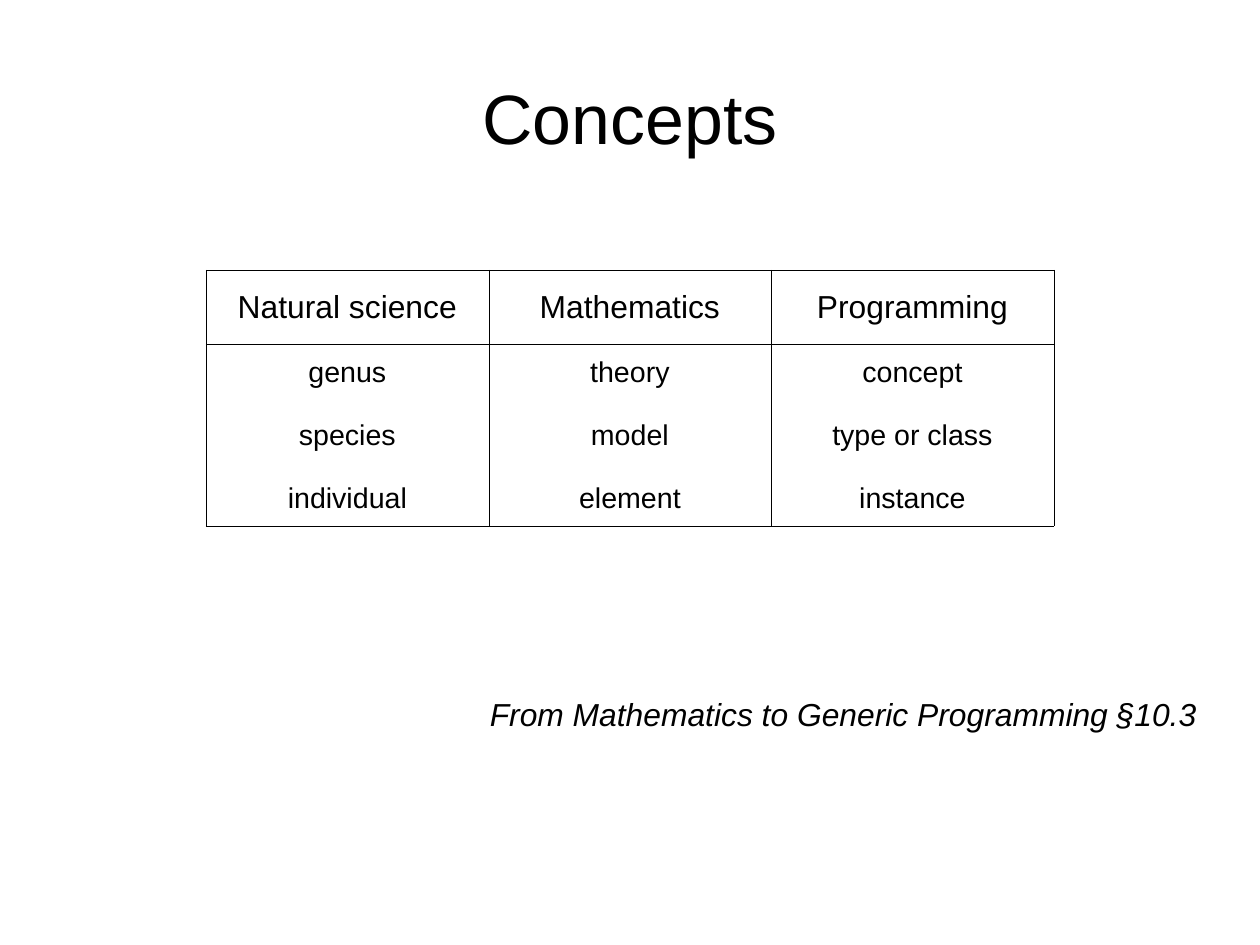
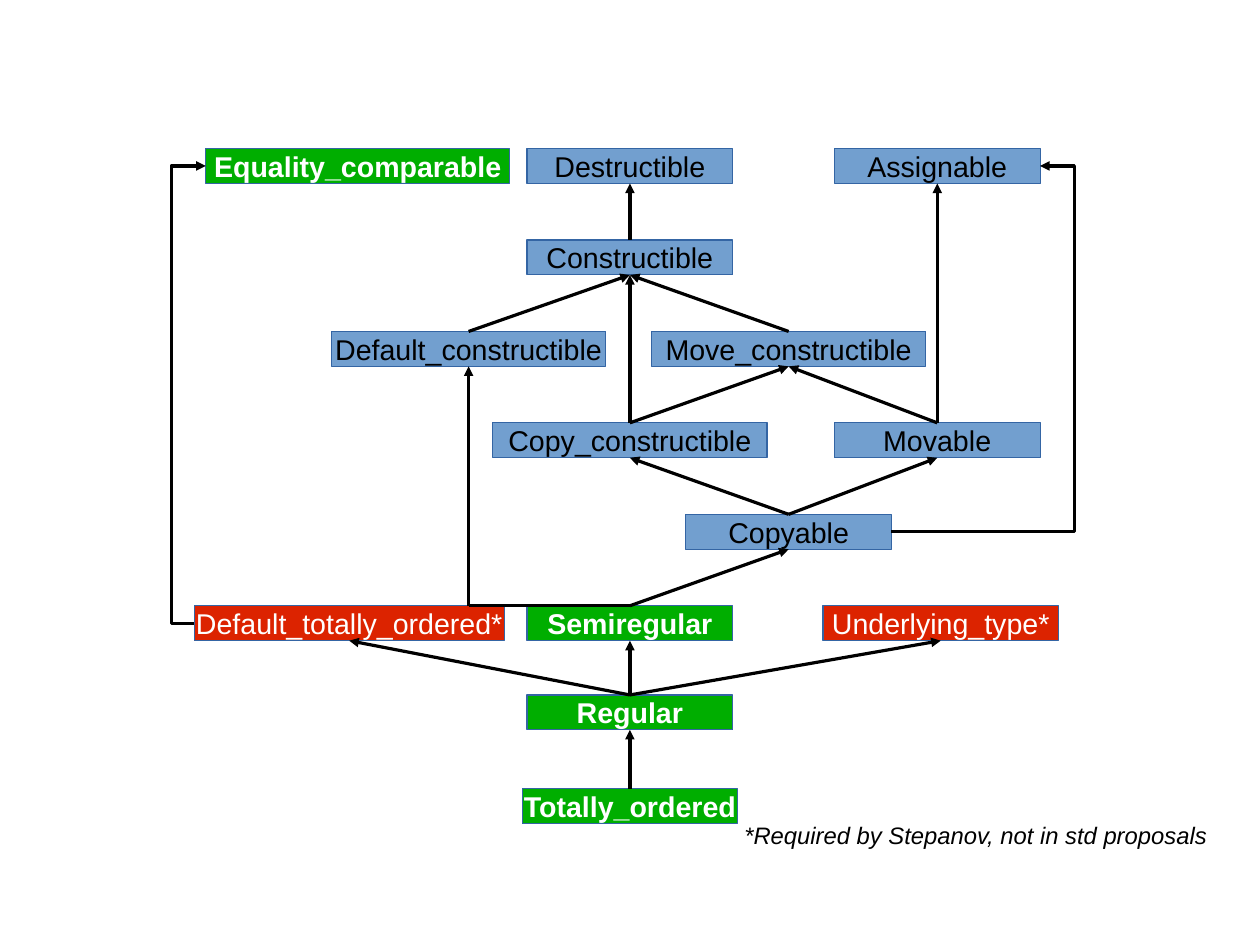
import lxml.etree
import pptx
import pptx.dml.color
import pptx.enum.shapes
import pptx.enum.text
import pptx.oxml.ns
import pptx.util

Pt = pptx.util.Pt
RGB = pptx.dml.color.RGBColor
ALIGN = pptx.enum.text.PP_ALIGN
MIDDLE = pptx.enum.text.MSO_ANCHOR.MIDDLE
KIND = pptx.enum.shapes.MSO_CONNECTOR
qn = pptx.oxml.ns.qn
node = lxml.etree.SubElement

BLACK = RGB(0x00, 0x00, 0x00)
WHITE = RGB(0xFF, 0xFF, 0xFF)
GREEN = RGB(0x00, 0xAE, 0x00)
RED = RGB(0xDC, 0x23, 0x00)
BLUE = RGB(0x72, 0x9F, 0xCF)
EDGE = RGB(0x34, 0x65, 0xA4)


def style(para, size, align, color=BLACK, bold=False, slant=False):
    para.alignment = align
    font = para.font
    font.name = "Arial"
    font.size = Pt(size)
    font.color.rgb = color
    font.bold = bold
    font.italic = slant


def label(slide, text, left, top, high, size, align, slant=False):
    box = slide.shapes.add_textbox(Pt(left), Pt(top), Pt(714.3), Pt(high))
    frame = box.text_frame
    frame.word_wrap = True
    frame.vertical_anchor = MIDDLE
    frame.margin_left = frame.margin_right = 0
    frame.margin_top = frame.margin_bottom = 0
    frame.text = text
    style(frame.paragraphs[0], size, align, slant=slant)


deck = pptx.Presentation()
deck.slide_width = Pt(793.7)
deck.slide_height = Pt(595.3)
blank = deck.slide_layouts[6]

slide = deck.slides.add_slide(blank)
label(slide, "Concepts", 39.7, 23.8, 99.4, 44, ALIGN.CENTER)
label(slide, "From Mathematics to Generic Programming §10.3",
      39.7, 417.6, 64, 20, ALIGN.RIGHT, True)

heads = ["Natural science", "Mathematics", "Programming"]
terms = [
    ["genus", "species", "individual"],
    ["theory", "model", "element"],
    ["concept", "type or class", "instance"],
]
grid = slide.shapes.add_table(2, 3, Pt(129.8), Pt(170), Pt(534), Pt(161.6)).table
grid.first_row = False
grid.horz_banding = False
grid.rows[0].height = Pt(47)
grid.rows[1].height = Pt(114.6)
for col in range(3):
    grid.columns[col].width = Pt(178)
    for row, lines, size in [(0, [heads[col]], 20), (1, terms[col], 18)]:
        cell = grid.cell(row, col)
        cell.vertical_anchor = MIDDLE
        cell.text = "\n".join(lines)
        for spot, para in enumerate(cell.text_frame.paragraphs):
            style(para, size, ALIGN.CENTER)
            if spot:
                para.space_before = Pt(19.6)
        props = cell._tc.get_or_add_tcPr()
        for side in ["a:lnL", "a:lnR", "a:lnT", "a:lnB"]:
            rule = node(props, qn(side), w="762")
            node(node(rule, qn("a:solidFill")), qn("a:srgbClr"), val=str(BLACK))
        cell.fill.solid()
        cell.fill.fore_color.rgb = WHITE

slide = deck.slides.add_slide(blank)
tops = [93.6 + 57.6 * row for row in range(8)]
tops[6] = 437.8
left, mid, right, far = 295.2, 396.8, 496.8, 590.4
boxes = [
    ("Equality_comparable", 225.4, 0, 191.5, GREEN),
    ("Destructible", mid, 0, 129.6, BLUE),
    ("Assignable", far, 0, 129.6, BLUE),
    ("Constructible", mid, 1, 129.6, BLUE),
    ("Default_constructible", left, 2, 172.8, BLUE),
    ("Move_constructible", right, 2, 172.8, BLUE),
    ("Copy_constructible", mid, 3, 172.8, BLUE),
    ("Movable", far, 3, 129.6, BLUE),
    ("Copyable", right, 4, 129.6, BLUE),
    ("Default_totally_ordered*", 220, 5, 195.1, RED),
    ("Semiregular", mid, 5, 129.6, GREEN),
    ("Underlying_type*", 592.6, 5, 148.3, RED),
    ("Regular", mid, 6, 129.6, GREEN),
    ("Totally_ordered", mid, 7, 135.4, GREEN),
]
shapes = {}
for name, center, row, wide, color in boxes:
    box = slide.shapes.add_shape(
        pptx.enum.shapes.MSO_SHAPE.FLOWCHART_PROCESS,
        Pt(center - wide / 2), Pt(tops[row]), Pt(wide), Pt(22))
    box.shadow.inherit = False
    box.fill.solid()
    box.fill.fore_color.rgb = color
    box.line.color.rgb = EDGE
    box.line.width = Pt(0)
    frame = box.text_frame
    frame.word_wrap = False
    frame.vertical_anchor = MIDDLE
    frame.text = name
    ink = BLACK if color == BLUE else WHITE
    style(frame.paragraphs[0], 18, ALIGN.CENTER, ink, color == GREEN)
    shapes[name] = box

turn = (left, tops[5])
links = [
    ("Copyable", 3, "Assignable", 3, 123100),
    ("Default_totally_ordered*", 1, "Equality_comparable", 1, -202400),
    ("Semiregular", 0, None, None, None),
    (None, None, "Default_constructible", 2, None),
]
pairs = [
    ("Default_constructible", "Constructible"),
    ("Move_constructible", "Constructible"),
    ("Movable", "Assignable"),
    ("Constructible", "Destructible"),
    ("Totally_ordered", "Regular"),
    ("Regular", "Default_totally_ordered*"),
    ("Regular", "Semiregular"),
    ("Regular", "Underlying_type*"),
    ("Semiregular", "Copyable"),
    ("Copyable", "Copy_constructible"),
    ("Copyable", "Movable"),
    ("Movable", "Move_constructible"),
    ("Copy_constructible", "Constructible"),
    ("Copy_constructible", "Move_constructible"),
]
links += [(low, 0, high, 2, None) for low, high in pairs]
for start, out, end, into, bend in links:
    kind = KIND.ELBOW if bend else KIND.STRAIGHT
    x, y = Pt(turn[0]), Pt(turn[1])
    link = slide.shapes.add_connector(kind, x, y, x, y)
    if start:
        link.begin_connect(shapes[start], out)
    if end:
        link.end_connect(shapes[end], into)
    link.line.color.rgb = BLACK
    link.line.width = Pt(0)
    props = link._element.spPr
    if end:
        node(props.find(qn("a:ln")), qn("a:tailEnd"), type="triangle")
    node(props, qn("a:effectLst"))
    if bend:
        guides = props.find(qn("a:prstGeom")).find(qn("a:avLst"))
        node(guides, qn("a:gd"), name="adj1", fmla=f"val {bend}")

label(slide, "*Required by Stepanov, not in std proposals",
      46.1, 493.9, 64, 15, ALIGN.RIGHT, True)

deck.save("out.pptx")
